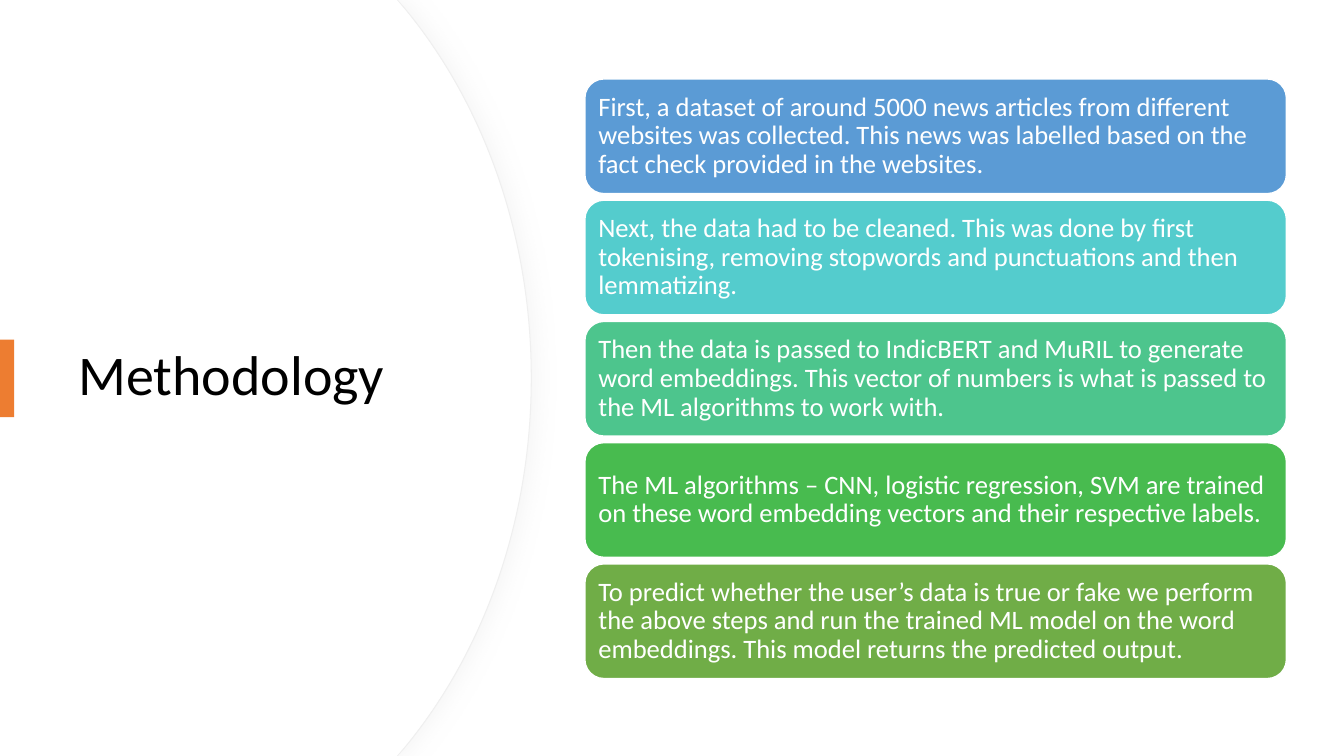
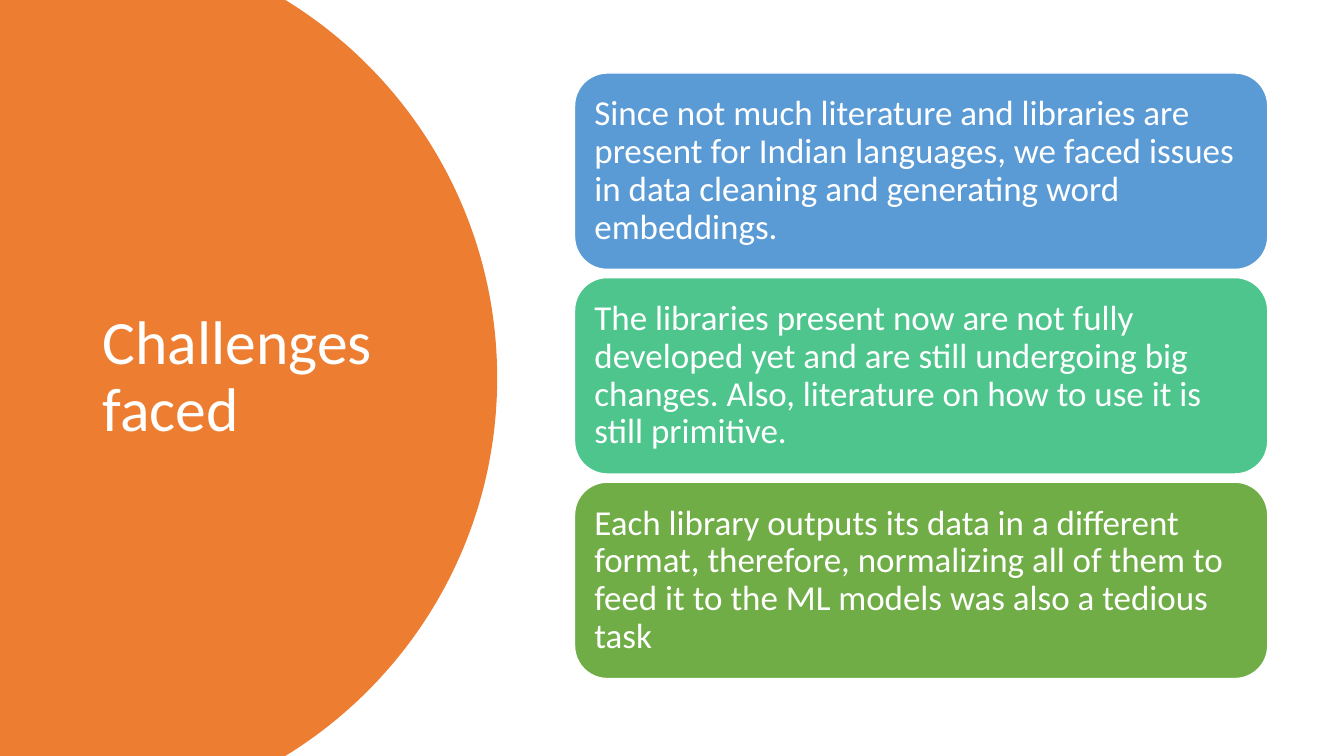
"""Build the methodology and challenges slides, each a curved title panel beside a stack of cards."""
from lxml import etree
from pptx import Presentation, util as u
from pptx.dml import color as dml
from pptx.enum import shapes, text
from pptx.oxml import ns

WIDTH, HEIGHT = 33.87, 19.05
FONT = "Calibri"
COLORS = {
    "white": "FFFFFF",
    "black": "000000",
    "orange": "ED7D31",
    "edge": "EFEFEF",
    "shade": "D9D9D9",
    "blue": "5B9BD5",
    "aqua": "54CCCD",
    "mint": "4DC58D",
    "green": "48BB4F",
    "olive": "70AD47",
}
STEPS = [
    ("blue", "First, a dataset of around 5000 news articles from different websites was collected. "
             "This news was labelled based on the fact check provided in the websites."),
    ("aqua", "Next, the data had to be cleaned. This was done by first tokenising, "
             "removing stopwords and punctuations and then lemmatizing."),
    ("mint", "Then the data is passed to IndicBERT and MuRIL to generate word embeddings. "
             "This vector of numbers is what is passed to the ML algorithms to work with."),
    ("green", "The ML algorithms – CNN, logistic regression, SVM are trained "
              "on these word embedding vectors and their respective labels."),
    ("olive", "To predict whether the user’s data is true or fake we perform the above steps and run "
              "the trained ML model on the word embeddings. This model returns the predicted output."),
]
CHALLENGES = [
    ("blue", "Since not much literature and libraries are present for Indian languages, "
             "we faced issues in data cleaning and generating word embeddings."),
    ("mint", "The libraries present now are not fully developed yet and are still undergoing "
             "big changes. Also, literature on how to use it is still primitive."),
    ("olive", "Each library outputs its data in a different format, therefore, normalizing "
              "all of them to feed it to the ML models was also a tedious task"),
]


def rgb(name):
    return dml.RGBColor.from_string(COLORS[name])


def apply(target, formats):
    for attribute, value in formats.items():
        setattr(target, attribute, value)


def paint(shape, fill, line=None, weight=1):
    shape.shadow.inherit = False
    shape.fill.solid()
    shape.fill.fore_color.rgb = rgb(fill)
    if line:
        shape.line.color.rgb = rgb(line)
        shape.line.width = u.Pt(weight)
    else:
        shape.line.fill.background()


def write(shape, words, size, color, inset=None):
    frame = shape.text_frame
    apply(frame, {"word_wrap": True, "vertical_anchor": text.MSO_ANCHOR.MIDDLE})
    if inset is not None:
        sides = ("margin_left", "margin_top", "margin_right", "margin_bottom")
        apply(frame, dict.fromkeys(sides, u.Cm(inset)))
    paragraph = frame.paragraphs[0]
    apply(paragraph, {"text": words, "alignment": text.PP_ALIGN.LEFT, "line_spacing": 0.9})
    apply(paragraph.runs[0].font, {"name": FONT, "size": u.Pt(size)})
    paragraph.runs[0].font.color.rgb = rgb(color)


def bend(panel, first):
    segments = list(panel._element.iter(ns.qn("a:lnTo")))
    for start in (first, first + 3):
        curve = etree.Element(ns.qn("a:cubicBezTo"))
        segments[start].addprevious(curve)
        for segment in segments[start:start + 3]:
            curve.append(segment[0])
            segment.getparent().remove(segment)


def add_panel(slide, corner, rim, fill, line=None):
    upper = [(corner, 0)] + rim
    lower = [(x, HEIGHT - y) for x, y in reversed(upper[:-1])]
    outline = [(u.Cm(x), u.Cm(y)) for x, y in upper + lower + [(0, HEIGHT)]]
    builder = slide.shapes.build_freeform(0, 0)
    builder.add_line_segments(outline, close=True)
    panel = builder.convert_to_shape()
    bend(panel, first=2)
    paint(panel, fill, line, 0.75)
    return panel


def add_soft_shadow(shape, color, opacity, blur, distance):
    effects = shape._element.spPr.find(ns.qn("a:effectLst"))
    shadow = etree.SubElement(effects, ns.qn("a:outerShdw"), blurRad=str(u.Pt(blur)),
                              dist=str(u.Pt(distance)), dir="0", algn="l", rotWithShape="0")
    tint = etree.SubElement(shadow, ns.qn("a:srgbClr"), val=COLORS[color])
    etree.SubElement(tint, ns.qn("a:alpha"), val=str(opacity * 1000))


def add_title(slide, words, left, top, width, height, size, color):
    title = slide.shapes.add_textbox(*map(u.Cm, (left, top, width, height)))
    write(title, words, size, color)


def add_accent(slide, top, width, height):
    accent = slide.shapes.add_shape(shapes.MSO_SHAPE.RECTANGLE, 0, *map(u.Cm, (top, width, height)))
    paint(accent, "orange")


def add_cards(slide, cards, left, top, width, height, bottom, size, inset):
    pitch = (bottom - top - height) / (len(cards) - 1)
    for row, (fill, words) in enumerate(cards):
        place = map(u.Cm, (left, top + row * pitch, width, height))
        card = slide.shapes.add_shape(shapes.MSO_SHAPE.ROUNDED_RECTANGLE, *place)
        paint(card, fill, "white")
        write(card, words, size, "white", inset)


def add_methodology(slide):
    rim = [(10.19, 0.2), (12.17, 2.59), (13.39, 5.89), (13.39, HEIGHT / 2)]
    face = [(x - 0.03, y) for x, y in rim]
    add_soft_shadow(add_panel(slide, 10.01, rim, "white", "edge"), "shade", 25, 16, 3)
    add_panel(slide, 10, face, "white")
    add_title(slide, "Methodology", 1.73, 3.23, 10, 12.57, 40, "black")
    add_accent(slide, 8.56, 0.36, 1.95)
    add_cards(slide, STEPS, 14.74, 1.99, 17.68, 2.89, 17.1, 19, 0.2)


def add_challenges(slide):
    rim = [(7.19, 0), (10.39, 1.96), (12.53, 5.49), (12.53, HEIGHT / 2)]
    add_panel(slide, 7.16, rim, "orange")
    add_title(slide, "Challenges faced", 2.34, 1.79, 8.2, 15.47, 44, "white")
    add_cards(slide, CHALLENGES, 14.48, 1.84, 17.47, 4.95, 17.1, 25, 0.26)


def main():
    deck = Presentation()
    apply(deck, {"slide_width": u.Cm(WIDTH), "slide_height": u.Cm(HEIGHT)})
    for fill_slide in (add_methodology, add_challenges):
        fill_slide(deck.slides.add_slide(deck.slide_layouts[6]))
    deck.save("out.pptx")


if __name__ == "__main__":
    main()
